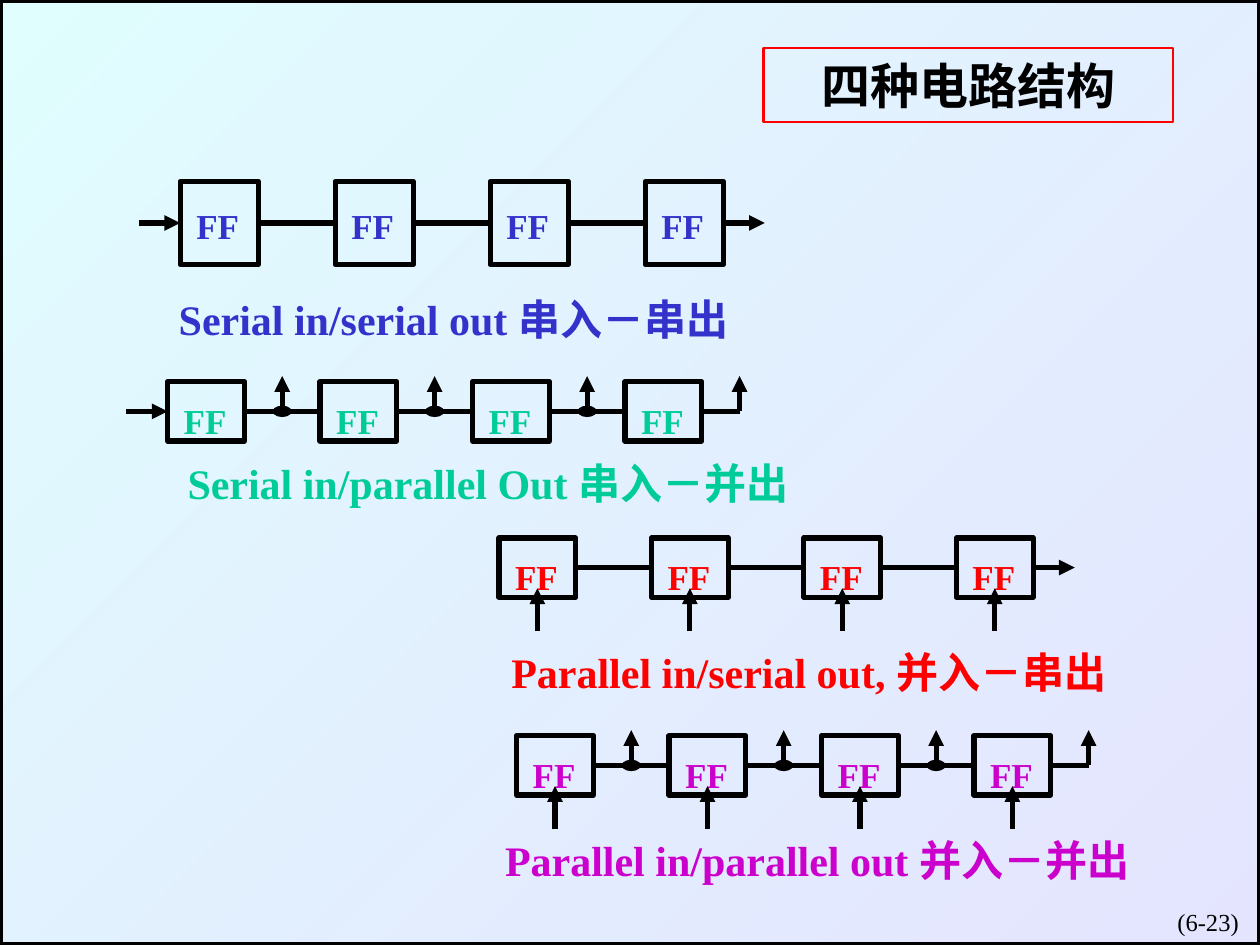
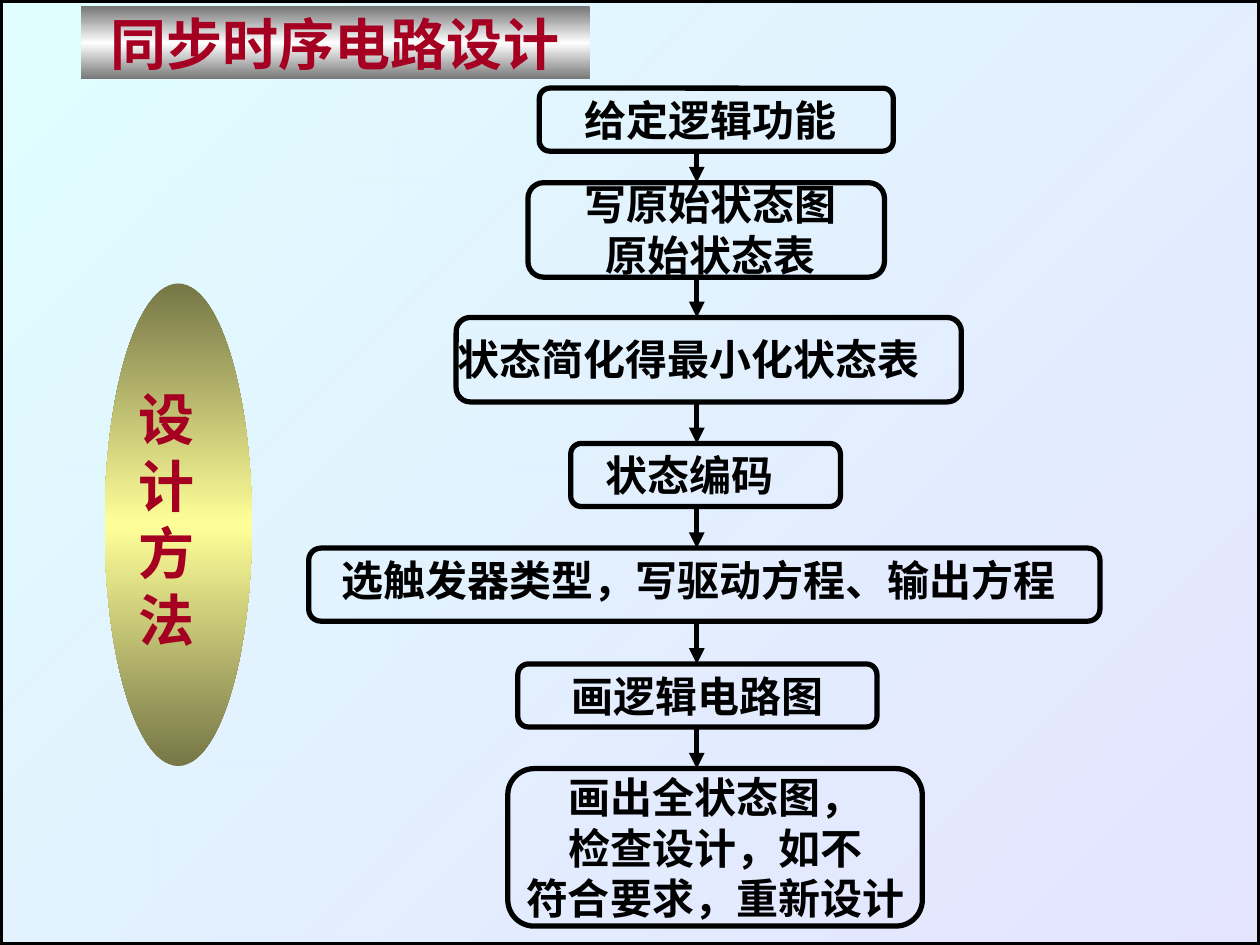
from pptx import Presentation
from pptx.dml.color import RGBColor
from pptx.enum.shapes import MSO_CONNECTOR, MSO_SHAPE
from pptx.enum.text import MSO_ANCHOR, PP_ALIGN
from pptx.oxml import parse_xml
from pptx.oxml.ns import nsdecls, qn
from pptx.util import Inches, Pt

RECT = MSO_SHAPE.RECTANGLE
OVAL = MSO_SHAPE.OVAL
STEP = MSO_SHAPE.FLOWCHART_ALTERNATE_PROCESS
LINE = MSO_CONNECTOR.STRAIGHT
LEFT, MID, RIGHT = PP_ALIGN.LEFT, PP_ALIGN.CENTER, PP_ALIGN.RIGHT
TOP, CENTER = MSO_ANCHOR.TOP, MSO_ANCHOR.MIDDLE

SERIF = "Times New Roman"
HAN = "Noto Sans CJK SC"
BLACK = "000000"
WINE = "A50021"
color = RGBColor.from_string


def put(sl, at, text="", kind=None, fill=None, grad=None, angle=90, line=None, thick=3,
        size=24, ink=BLACK, bold=True, face=SERIF, align=LEFT, wrap=True):
    at = [Inches(n) for n in at]
    if kind is None:
        shape = sl.shapes.add_textbox(*at)
    else:
        shape = sl.shapes.add_shape(kind, *at)
        shape.shadow.inherit = False
        shape.fill.background()
        if fill:
            shape.fill.solid()
            shape.fill.fore_color.rgb = color(fill)
        if grad:
            stops = "".join(
                f'<a:gs pos="{pos * 1000}"><a:srgbClr val="{tone}">'
                f'<a:alpha val="{alpha * 1000}"/></a:srgbClr></a:gs>'
                for pos, tone, alpha in grad)
            props = shape._element.spPr
            props.replace(props.find(qn("a:noFill")), parse_xml(
                f'<a:gradFill {nsdecls("a")} rotWithShape="1"><a:gsLst>{stops}</a:gsLst>'
                f'<a:lin ang="{angle * 60000}" scaled="0"/></a:gradFill>'))
        if line:
            shape.line.color.rgb = color(line)
            shape.line.width = Pt(thick)
        else:
            shape.line.fill.background()
    if text:
        frame = shape.text_frame
        frame.word_wrap = wrap
        frame.vertical_anchor = CENTER if kind else TOP
        frame.text = text
        for para in frame.paragraphs:
            para.alignment = align
            for run in para.runs:
                font = run.font
                font.size, font.bold, font.name = Pt(size), bold, face
                font.color.rgb = color(ink)
                run._r.get_or_add_rPr().find(qn("a:latin")).addnext(
                    parse_xml(f'<a:ea {nsdecls("a")} typeface="{HAN}"/>'))
    return shape


def wire(sl, x1, y1, x2, y2, arrow=True, start=None, end=None):
    link = sl.shapes.add_connector(LINE, *[Inches(n) for n in (x1, y1, x2, y2)])
    if start is not None:
        link.begin_connect(start, 3)
    if end is not None:
        link.end_connect(end, 1)
    link.line.color.rgb = color(BLACK)
    link.line.width = Pt(3)
    if arrow:
        link.line._get_or_add_ln().append(
            parse_xml(f'<a:tailEnd {nsdecls("a")} type="triangle"/>'))
    link._element.spPr.append(parse_xml(f'<a:effectLst {nsdecls("a")}/>'))


deck = Presentation()
deck.slide_width, deck.slide_height = Inches(10), Inches(7.5)
slides = [deck.slides.add_slide(deck.slide_layouts[6]) for _ in range(2)]
for sl in slides:
    put(sl, (0, 0, 10, 7.5), kind=RECT, line=BLACK, angle=45,
        grad=[(0, "CCFFFF", 59), (100, "CCCCFF", 51)])

types, design = slides

put(types, (7.85, 7.15, 2.08, 0.5), "(6-23)", size=14, bold=False, align=RIGHT)
put(types, (6.06, 0.38, 3.25, 0.59), "四种电路结构", kind=RECT, line="FF0000", thick=1.5,
    size=28, align=MID)

chains = [
    (1.43, 1.44, 1.23, 0.62, 0.66, 0.13, "3333CC", False, False,
     "Serial in/serial out 串入－串出", (1.32, 2.28, 4.99, 0.51)),
    (1.33, 3.03, 1.21, 0.61, 0.47, 0.09, "00CC99", False, True,
     "Serial in/parallel Out 串入－并出", (1.39, 3.58, 5.34, 0.51)),
    (3.96, 4.27, 1.21, 0.61, 0.47, 0.09, "FF0000", True, False,
     "Parallel in/serial out, 并入－串出", (3.96, 5.08, 5.11, 0.51)),
    (4.1, 5.84, 1.21, 0.61, 0.47, 0.09, "CC00CC", True, True,
     "Parallel in/parallel out 并入－并出", (3.91, 6.57, 5.29, 0.51)),
]
for left, top, pitch, wide, high, drop, ink, fan_in, fan_out, label, spot in chains:
    mid = top + high / 2
    base = top + high
    cells = [put(types, (left + i * pitch, top, wide, high), kind=RECT, line=BLACK)
             for i in range(4)]
    if not fan_in:
        wire(types, left - 0.33, mid, left, mid, end=cells[0])
    for cell, after in zip(cells, cells[1:]):
        wire(types, left, mid, left, mid, arrow=False, start=cell, end=after)
    edge = left + 3 * pitch + wide
    wire(types, edge, mid, edge + (0.3 if fan_out else 0.33), mid,
         arrow=not fan_out, start=cells[-1])
    for i in range(4):
        x = left + i * pitch
        put(types, (x + 0.03, top + drop, 0.67, 0.43), "FF", size=20, ink=ink)
        if fan_in:
            hub = x + wide / 2
            wire(types, hub, base + 0.27, hub, base - 0.07)
        if fan_out:
            tap = x + wide + 0.3
            wire(types, tap, mid, tap, mid - 0.28)
            if i < 3:
                put(types, (tap - 0.07, mid - 0.04, 0.14, 0.08), kind=OVAL,
                    fill=BLACK, line=BLACK, thick=0.75)
    put(types, spot, label, ink=ink)

put(design, (0.64, 0.05, 4.04, 0.58), "同步时序电路设计", kind=RECT, size=32, ink=WINE,
    face=HAN, align=MID,
    grad=[(0, "767676", 100), (50, "FFFFFF", 100), (100, "767676", 100)])
put(design, (0.83, 2.25, 1.17, 3.83), kind=OVAL,
    grad=[(0, "767647", 100), (50, "FFFF99", 100), (100, "767647", 100)])
put(design, (1, 3, 0.65, 2.23), "设\n计\n方\n法", size=32, ink=WINE, wrap=False)

steps = [
    ((4.28, 0.7, 2.81, 0.5), "给定逻辑功能", (4.54, 0.7, 2.34, 0.5), LEFT),
    ((4.19, 1.45, 2.83, 0.75), "写原始状态图\n原始状态表", (4.46, 1.37, 2.36, 0.9), MID),
    ((3.62, 2.52, 4.01, 0.67), "状态简化得最小化状态表", (3.53, 2.6, 4.09, 0.5), LEFT),
    ((4.53, 3.52, 2.14, 0.5), "状态编码", (4.71, 3.52, 1.65, 0.5), LEFT),
    ((2.45, 4.35, 6.28, 0.58), "选触发器类型，写驱动方程、输出方程",
     (2.61, 4.35, 5.97, 0.5), LEFT),
    ((4.11, 5.27, 2.85, 0.5), "画逻辑电路图", None, MID),
    ((4.03, 6.1, 3.29, 1.25), "画出全状态图，\n检查设计，如不\n符合要求，重新设计", None, MID),
]
for box, text, spot, align in steps:
    if spot:
        put(design, box, kind=STEP, line=BLACK)
        put(design, spot, text, align=align)
    else:
        put(design, box, text, kind=STEP, line=BLACK, align=align, wrap=False)
for (box, *_), (after, *_) in zip(steps, steps[1:]):
    wire(design, 5.53, box[1] + box[3], 5.53, after[1])

deck.save("out.pptx")
